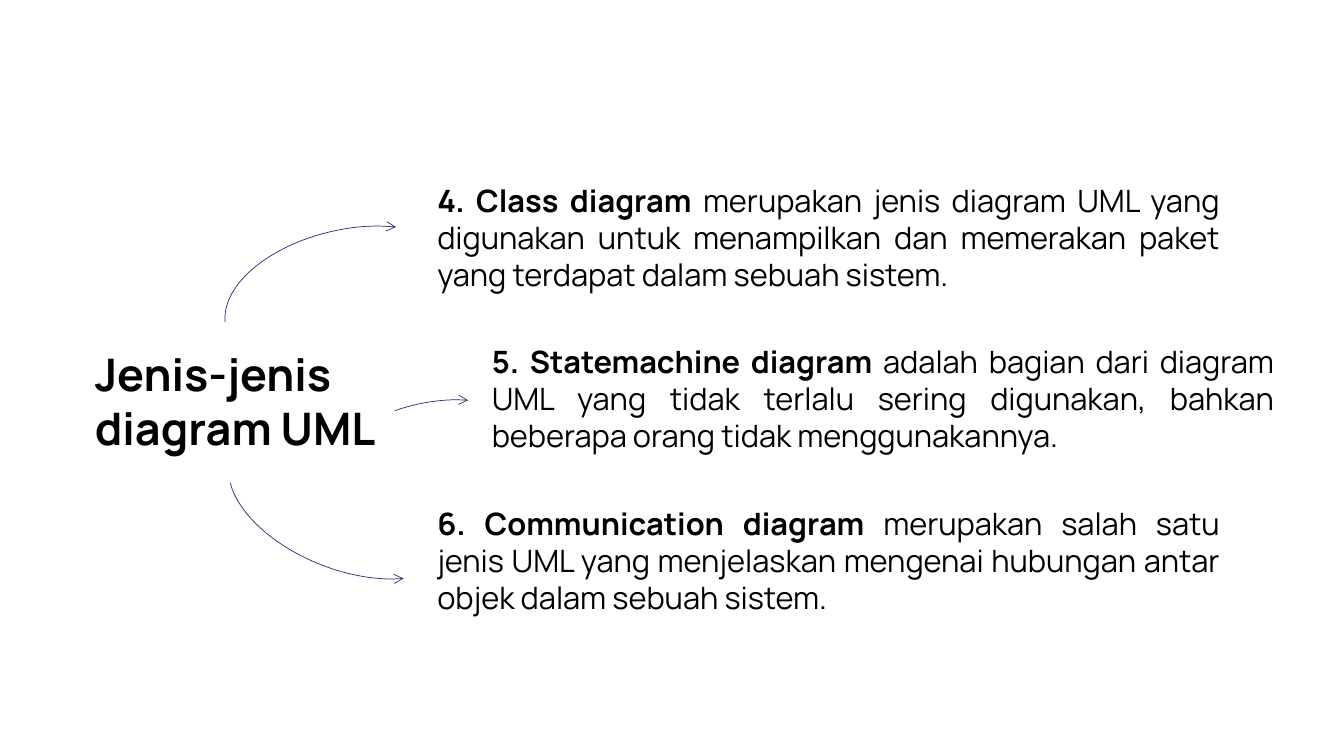
from dataclasses import dataclass

from lxml.etree import SubElement
from pptx import Presentation
from pptx.dml.color import RGBColor
from pptx.enum.shapes import MSO_SHAPE
from pptx.enum.text import MSO_ANCHOR, MSO_AUTO_SIZE, PP_ALIGN
from pptx.oxml.ns import qn
from pptx.util import Pt

TITLE = "Jenis-jenis diagram UML"
DIAGRAMS = [
    ("4. Class diagram ",
     "merupakan jenis diagram UML yang digunakan untuk menampilkan "
     "dan memerakan paket yang terdapat dalam sebuah sistem."),
    ("5. Statemachine diagram ",
     "adalah bagian dari diagram UML yang tidak terlalu sering digunakan, "
     "bahkan beberapa orang tidak menggunakannya."),
    ("6. Communication diagram ",
     "merupakan salah satu jenis UML yang menjelaskan mengenai "
     "hubungan antar objek dalam sebuah sistem."),
]
# left, top, rotation, (start, end) adjustments, mirrored top to bottom
ARROWS = [
    (198, 125.3, 256.9, (163.32, 28.67), False),
    (244.1, 253.4, 248.6, (4.97, 34.63), False),
    (198, 269.3, 111.4, (169.65, 34.63), True),
]


@dataclass(frozen=True)
class Theme:
    font: str = "Manrope"
    text: RGBColor = RGBColor(0, 0, 0)
    arrow: RGBColor = RGBColor(0x2B, 0x2A, 0x75)
    title_size: float = 32
    body_size: float = 22
    arrow_width: float = 0.5


THEME = Theme()
TITLE_BOX = (60.5, 244.1, 223.9, 85)
BODY_LEFT, BODY_INDENT, BODY_TOP, BODY_PITCH = 305.3, 38.9, 126, 115.55
BODY_SIZE = (573.1, 87.1)
ARC_SIZE = (98.6, 176.4)


def format_text(sp, size, align):
    tf = sp.text_frame
    tf.word_wrap = True
    tf.auto_size = MSO_AUTO_SIZE.SHAPE_TO_FIT_TEXT
    tf.vertical_anchor = MSO_ANCHOR.TOP
    p = tf.paragraphs[0]
    p.alignment = align
    p.font.name = THEME.font
    p.font.size = Pt(size)
    p.font.color.rgb = THEME.text
    return p


def add_title(slide):
    sp = slide.shapes.title
    sp.left, sp.top, sp.width, sp.height = map(Pt, TITLE_BOX)
    sp.text_frame.text = TITLE
    p = format_text(sp, THEME.title_size, PP_ALIGN.LEFT)
    p.font.bold = True


def add_description(slide, row, name, description):
    left = BODY_LEFT + BODY_INDENT * (row % 2)
    top = BODY_TOP + BODY_PITCH * row
    sp = slide.shapes.add_textbox(*map(Pt, (left, top, *BODY_SIZE)))
    p = format_text(sp, THEME.body_size, PP_ALIGN.JUSTIFY)
    for text, bold in ((name, True), (description, False)):
        r = p.add_run()
        r.text = text
        r.font.bold = bold


def add_arc_arrow(slide, left, top, rotation, angles, mirrored):
    sp = slide.shapes.add_shape(MSO_SHAPE.ARC, *map(Pt, (left, top, *ARC_SIZE)))
    sp.adjustments[0], sp.adjustments[1] = angles
    sp.rotation = rotation
    sp.shadow.inherit = False
    sp.fill.background()
    sp.line.color.rgb = THEME.arrow
    sp.line.width = Pt(THEME.arrow_width)
    sp_pr = sp.element.spPr
    SubElement(sp_pr.find(qn("a:ln")), qn("a:tailEnd"), type="arrow")
    if mirrored:
        sp_pr.find(qn("a:xfrm")).set("flipV", "1")


def main():
    prs = Presentation()
    prs.slide_width, prs.slide_height = Pt(960), Pt(540)
    slide = prs.slides.add_slide(prs.slide_layouts.get_by_name("Title Only"))
    add_title(slide)
    for row, (name, description) in enumerate(DIAGRAMS):
        add_description(slide, row, name, description)
    for arrow in ARROWS:
        add_arc_arrow(slide, *arrow)
    prs.save("out.pptx")


if __name__ == "__main__":
    main()
